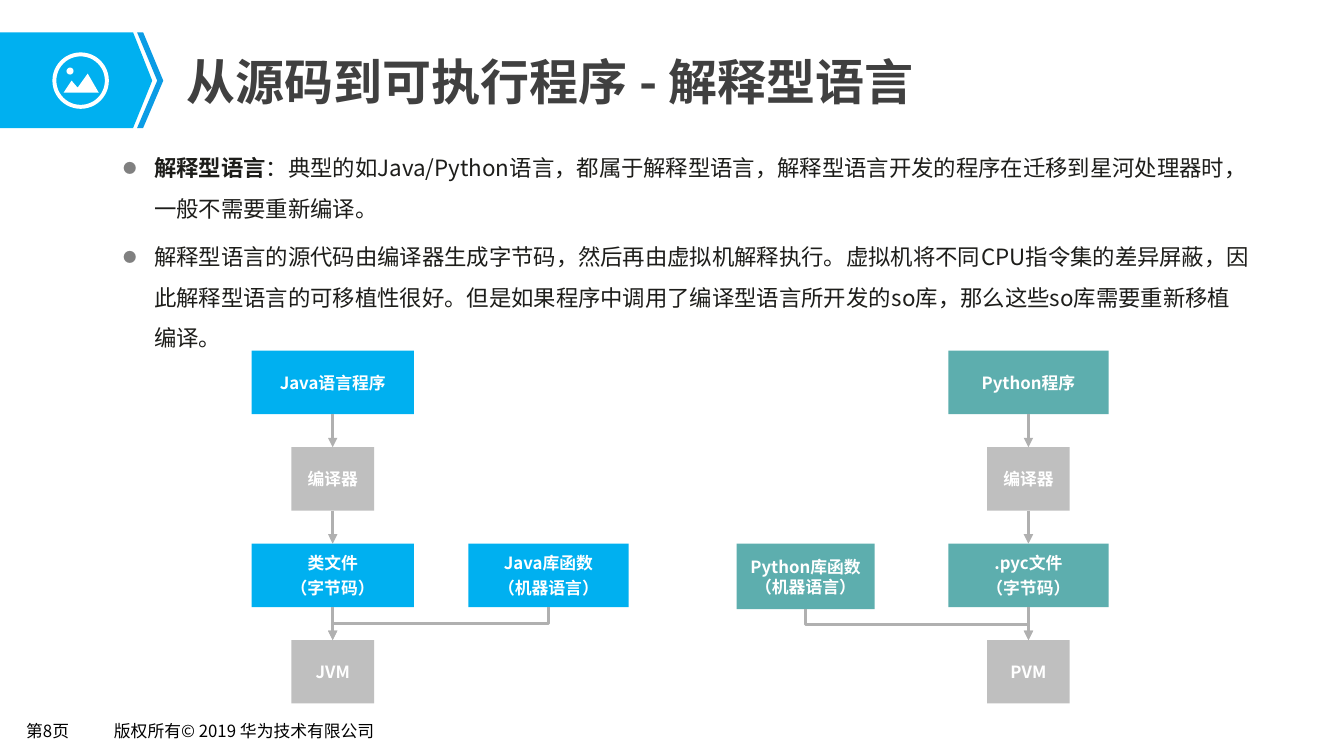
from lxml import etree
from pptx import Presentation
from pptx import util as u
from pptx.dml import color
from pptx.enum import shapes, text
from pptx.oxml import ns

FONT = "Noto Sans CJK SC"
BLUE, TEAL, GREY, LINE, WHITE = "00B0F0", "5DAEAE", "BFBFBF", "B0B0B0", "FFFFFF"
ROWS = [3.48 + step * (6.35 - 3.48) / 3 for step in range(4)]
BOX_HEIGHT = 0.63
ENGINE_WIDTH = 0.82

FLOWS = [
    {"center": 3.3, "width": 1.61, "fill": BLUE, "source": ["Java语言程序"],
     "bytecode": ["类文件", "（字节码）"], "machine": ["JVM"],
     "library": (5.44, 1.59, 0.63, ["Java库函数", "（机器语言）"])},
    {"center": 10.2, "width": 1.59, "fill": TEAL, "source": ["Python程序"],
     "bytecode": [".pyc文件", "（字节码）"], "machine": ["PVM"],
     "library": (7.99, 1.37, 0.65, ["Python库函数（机器语言）"])},
]


def rgb(value):
    return color.RGBColor.from_string(value)


def apply(target, values):
    for name, value in values.items():
        setattr(target, name, value)


def add_element(parent, tag, **attributes):
    element = etree.SubElement(parent, ns.qn(tag))
    for name, value in attributes.items():
        element.set(name, value)
    return element


class SlideBuilder:
    def __init__(self, slide):
        self.slide = slide
        self.shapes = slide.shapes

    def place(self, shape, left, top, width, height):
        names = ("left", "top", "width", "height")
        lengths = (u.Inches(value) for value in (left, top, width, height))
        apply(shape, dict(zip(names, lengths)))

    def run(self, paragraph, words, size, colour, bold=False):
        run = paragraph.add_run()
        run.text = words
        apply(run.font, {"name": FONT, "size": u.Pt(size), "bold": bold})
        run.font.color.rgb = rgb(colour)
        add_element(run.font._element, "a:ea", typeface=FONT)

    def paint(self, shape, fill):
        shape.shadow.inherit = False
        shape.fill.solid()
        shape.fill.fore_color.rgb = rgb(fill)
        shape.line.fill.background()
        return shape

    def outline(self, points, fill):
        start, *rest = [(u.Inches(x), u.Inches(y)) for x, y in points]
        builder = self.shapes.build_freeform(*start)
        builder.add_line_segments(rest, close=True)
        self.paint(builder.convert_to_shape(), fill)

    def preset(self, kind, left, top, width, height, fill):
        lengths = [u.Inches(value) for value in (left, top, width, height)]
        return self.paint(self.shapes.add_shape(kind, *lengths), fill)

    def title(self, words, *position):
        shape = self.shapes.title
        self.place(shape, *position)
        apply(shape.text_frame, {
            "margin_left": u.Inches(0.11), "margin_right": u.Inches(0.11),
            "margin_top": u.Inches(0.06), "margin_bottom": u.Inches(0.06),
            "vertical_anchor": text.MSO_ANCHOR.MIDDLE,
            "auto_size": text.MSO_AUTO_SIZE.NONE})
        paragraph = shape.text_frame.paragraphs[0]
        paragraph.alignment = text.PP_ALIGN.LEFT
        self.run(paragraph, words, 35, "404040", True)

    def bullets(self, items, *position):
        shape = self.slide.placeholders[1]
        self.place(shape, *position)
        frame = shape.text_frame
        apply(frame, {"auto_size": text.MSO_AUTO_SIZE.NONE, "word_wrap": True,
                      "vertical_anchor": text.MSO_ANCHOR.TOP})
        for index, runs in enumerate(items):
            paragraph = frame.add_paragraph() if index else frame.paragraphs[0]
            properties = paragraph._p.get_or_add_pPr()
            properties.set("marL", str(u.Inches(0.31)))
            properties.set("indent", str(-u.Inches(0.31)))
            bullet_color = add_element(properties, "a:buClr")
            add_element(bullet_color, "a:srgbClr", val="808080")
            add_element(properties, "a:buSzPct", val="60000")
            add_element(properties, "a:buFont", typeface=FONT)
            add_element(properties, "a:buChar", char="●")
            apply(paragraph, {"line_spacing": 1.5, "space_before": u.Pt(6 if index else 0)})
            for words, bold in runs:
                self.run(paragraph, words, 16, "1D1D1A", bold)

    def label(self, words, *position):
        shape = self.shapes.add_textbox(*[u.Inches(value) for value in position])
        apply(shape.text_frame, {
            "margin_left": u.Inches(0.09), "margin_right": u.Inches(0.09),
            "margin_top": u.Inches(0.04), "margin_bottom": u.Inches(0.04),
            "word_wrap": False, "auto_size": text.MSO_AUTO_SIZE.SHAPE_TO_FIT_TEXT})
        self.run(shape.text_frame.paragraphs[0], words, 12, "000000")

    def box(self, lines, center, top, width, height, fill):
        shape = self.preset(shapes.MSO_SHAPE.RECTANGLE, center - width / 2, top,
                            width, height, fill)
        frame = shape.text_frame
        apply(frame, {"word_wrap": True, "vertical_anchor": text.MSO_ANCHOR.MIDDLE})
        for index, words in enumerate(lines):
            paragraph = frame.add_paragraph() if index else frame.paragraphs[0]
            apply(paragraph, {"alignment": text.PP_ALIGN.CENTER,
                              "space_before": u.Pt(3 if index else 0)})
            self.run(paragraph, words, 12, WHITE, True)
        return shape

    def connector(self, kind):
        connector = self.shapes.add_connector(kind, 0, 0, 0, 0)
        connector.line.width = u.Pt(2.25)
        connector.line.color.rgb = rgb(LINE)
        add_element(connector.line._get_or_add_ln(), "a:tailEnd", type="triangle")
        add_element(connector._element.spPr, "a:effectLst")
        return connector

    def arrow(self, upper, lower):
        connector = self.connector(shapes.MSO_CONNECTOR.STRAIGHT)
        connector.begin_connect(upper, 2)
        connector.end_connect(lower, 0)

    def elbow(self, start, end):
        connector = self.connector(shapes.MSO_CONNECTOR.ELBOW)
        (start_x, start_y), (end_x, end_y) = start, end
        drop, span = end_y - start_y, abs(end_x - start_x)
        self.place(connector, (start_x + end_x - drop) / 2,
                   (start_y + end_y - span) / 2, drop, span)
        frame = connector._element.spPr.find(ns.qn("a:xfrm"))
        if end_x < start_x:
            frame.set("rot", "5400000")
        else:
            frame.set("rot", "16200000")
            frame.set("flipH", "1")

    def flow(self, center, width, fill, source, bytecode, machine, library):
        stages = [(source, width, fill), (["编译器"], ENGINE_WIDTH, GREY),
                  (bytecode, width, fill), (machine, ENGINE_WIDTH, GREY)]
        boxes = [self.box(lines, center, top, box_width, BOX_HEIGHT, box_fill)
                 for (lines, box_width, box_fill), top in zip(stages, ROWS)]
        for upper, lower in zip(boxes, boxes[1:]):
            self.arrow(upper, lower)
        library_center, library_width, library_height, lines = library
        self.box(lines, library_center, ROWS[2], library_width, library_height, fill)
        self.elbow((library_center, ROWS[2] + library_height), (center, ROWS[3]))


def main():
    presentation = Presentation()
    apply(presentation, {"slide_width": u.Inches(13.33), "slide_height": u.Inches(7.5)})
    builder = SlideBuilder(presentation.slides.add_slide(presentation.slide_layouts[1]))

    builder.label("第8页", 0.17, 7.11, 0.74, 0.29)
    builder.label("版权所有© 2019 华为技术有限公司", 1.04, 7.11, 2.85, 0.29)

    builder.outline([(0, 0.32), (1.32, 0.32), (1.51, 0.8), (1.32, 1.27), (0, 1.27)], BLUE)
    builder.outline([(1.36, 0.32), (1.42, 0.32), (1.62, 0.8), (1.42, 1.27),
                     (1.36, 1.27), (1.56, 0.8)], "0B9CE5")
    ring = builder.preset(shapes.MSO_SHAPE.DONUT, 0.52, 0.52, 0.56, 0.56, WHITE)
    ring.adjustments[0] = 0.07
    builder.preset(shapes.MSO_SHAPE.OVAL, 0.66, 0.67, 0.07, 0.07, WHITE)
    builder.outline([(0.63, 0.92), (0.71, 0.8), (0.77, 0.87), (0.87, 0.73), (0.98, 0.92)], WHITE)

    builder.title("从源码到可执行程序 - 解释型语言", 1.74, 0.45, 10.75, 0.7)
    builder.bullets([
        [("解释型语言", True),
         ("：典型的如Java/Python语言，都属于解释型语言，解释型语言开发的程序在迁移到"
          "星河处理器时，一般不需要重新编译。", False)],
        [("解释型语言的源代码由编译器生成字节码，然后再由虚拟机解释执行。虚拟机将不同CPU"
          "指令集的差异屏蔽，因此解释型语言的可移植性很好。但是如果程序中调用了编译型语言"
          "所开发的so库，那么这些so库需要重新移植编译。", False)],
    ], 1.12, 1.35, 11.38, 2.2)

    for flow in FLOWS:
        builder.flow(**flow)
    presentation.save("out.pptx")


if __name__ == "__main__":
    main()
